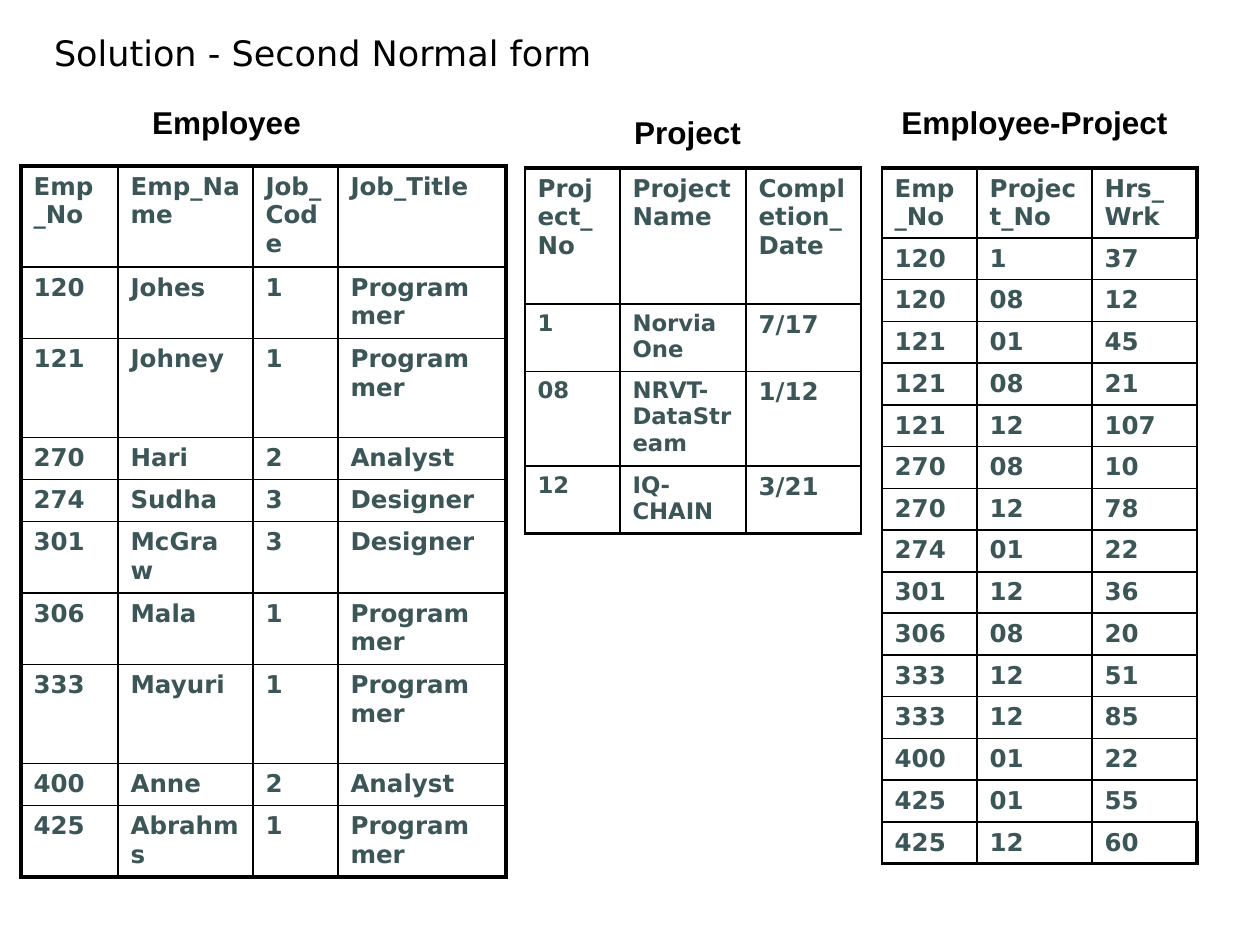
from lxml import etree
from pptx import Presentation
from pptx.dml.color import RGBColor
from pptx.enum.text import MSO_ANCHOR, MSO_AUTO_SIZE, PP_ALIGN
from pptx.oxml.ns import qn
from pptx.util import Emu, Pt

MIDDLE, BOTTOM = MSO_ANCHOR.MIDDLE, MSO_ANCHOR.BOTTOM
LEFT, CENTER = PP_ALIGN.LEFT, PP_ALIGN.CENTER
NO_FIT = MSO_AUTO_SIZE.NONE
TITLE_ONLY = 5
THIN, THICK = 1, 2.25
PX_PER_INCH = 126
COLORS = {"black": "000000", "cell": "3C5658"}

TITLE = "Solution - Second Normal form"
TITLE_FONT = {"name": "DejaVu Sans", "size": Pt(20), "bold": False}
HEADING_FONT = {"name": "Arial", "size": Pt(18), "bold": True}
CELL_FONT = {"name": "DejaVu Sans", "size": Pt(14), "bold": True}
SMALL_CELL_FONT = {**CELL_FONT, "size": Pt(13)}
HEADING_SIZE = (347, 53)

EMPLOYEES = [
    ("Emp_No", "Emp_Name", "Job_Code", "Job_Title"),
    ("120", "Johes", "1", "Programmer"),
    ("121", "Johney", "1", "Programmer"),
    ("270", "Hari", "2", "Analyst"),
    ("274", "Sudha", "3", "Designer"),
    ("301", "McGraw", "3", "Designer"),
    ("306", "Mala", "1", "Programmer"),
    ("333", "Mayuri", "1", "Programmer"),
    ("400", "Anne", "2", "Analyst"),
    ("425", "Abrahms", "1", "Programmer"),
]
PROJECTS = [
    ("Project_No", "Project Name", "Completion_Date"),
    ("1", "Norvia One", "7/17"),
    ("08", "NRVT-DataStream", "1/12"),
    ("12", "IQ-CHAIN", "3/21"),
]
HOURS = [
    ("Emp_No", "Project_No", "Hrs_Wrk"),
    ("120", "1", "37"), ("120", "08", "12"),
    ("121", "01", "45"), ("121", "08", "21"), ("121", "12", "107"),
    ("270", "08", "10"), ("270", "12", "78"),
    ("274", "01", "22"), ("301", "12", "36"), ("306", "08", "20"),
    ("333", "12", "51"), ("333", "12", "85"),
    ("400", "01", "22"),
    ("425", "01", "55"), ("425", "12", "60"),
]

# thick_sides: "all" rows, only the "ends" (first and last row), or none.
TABLES = [
    {"heading": "Employee-Project", "heading_at": (861, 95), "at": (882, 168),
     "data": HOURS, "columns": [95, 115, 105],
     "rows": [70] + [41 + index % 2 for index in range(len(HOURS) - 1)],
     "thick_sides": {"R": "ends"}, "small_columns": ()},
    {"heading": "Employee", "heading_at": (53, 95), "at": (21, 166),
     "data": EMPLOYEES, "columns": [97, 135, 85, 168],
     "rows": [99, 70, 99, 42, 41, 70, 70, 99, 42, 70],
     "thick_sides": {"L": "all", "R": "all"}, "small_columns": ()},
    {"heading": "Project", "heading_at": (514, 105), "at": (525, 168),
     "data": PROJECTS, "columns": [95, 126, 115],
     "rows": [136, 65, 92, 65],
     "thick_sides": {}, "small_columns": (0, 1)},
]


def px(value):
    return Emu(round(value * 914400 / PX_PER_INCH))


def write(frame, text, font, color, align=LEFT):
    para = frame.paragraphs[0]
    para.alignment = align
    span = para.add_run()
    span.text = text
    for name, value in font.items():
        setattr(span.font, name, value)
    span.font.color.rgb = RGBColor.from_string(COLORS[color])


def draw_borders(cell, widths):
    properties = cell._tc.get_or_add_tcPr()
    for side in "LRTB":
        line = etree.SubElement(properties, qn(f"a:ln{side}"),
                                w=str(Pt(widths[side])))
        fill = etree.SubElement(line, qn("a:solidFill"))
        etree.SubElement(fill, qn("a:srgbClr"), val=COLORS["black"])


def border_widths(row, column, last_row, last_column, thick_sides):
    def side_width(side, on_edge):
        rule = thick_sides.get(side)
        thick = rule == "all" or rule == "ends" and row in (0, last_row)
        return THICK if on_edge and thick else THIN

    return {"L": side_width("L", column == 0),
            "R": side_width("R", column == last_column),
            "T": THICK if row == 0 else THIN,
            "B": THICK if row == last_row else THIN}


def add_title(page):
    title = page.shapes.title
    title.left, title.top, title.width, title.height = map(px, (4, 21, 921, 59))
    frame = title.text_frame
    settings = {"margin_left": px(50), "vertical_anchor": BOTTOM,
                "word_wrap": True, "auto_size": NO_FIT}
    for name, value in settings.items():
        setattr(frame, name, value)
    write(frame, TITLE, TITLE_FONT, "black")


def add_heading(page, text, at):
    box = page.shapes.add_textbox(*map(px, at + HEADING_SIZE))
    box.text_frame.word_wrap = False
    box.text_frame.vertical_anchor = MIDDLE
    write(box.text_frame, text, HEADING_FONT, "black", CENTER)


def add_data_table(page, item):
    data, columns, rows = item["data"], item["columns"], item["rows"]
    size = (sum(columns), sum(rows))
    table = page.shapes.add_table(len(rows), len(columns),
                                  *map(px, item["at"] + size)).table
    table.first_row = table.horz_banding = False
    for column, width in zip(table.columns, columns):
        column.width = px(width)
    for row, height in zip(table.rows, rows):
        row.height = px(height)
    for r, values in enumerate(data):
        for c, text in enumerate(values):
            cell = table.cell(r, c)
            draw_borders(cell, border_widths(r, c, len(rows) - 1,
                                             len(columns) - 1,
                                             item["thick_sides"]))
            cell.fill.background()
            small = r > 0 and c in item["small_columns"]
            write(cell.text_frame, text,
                  SMALL_CELL_FONT if small else CELL_FONT, "cell")


def main():
    deck = Presentation()
    deck.slide_width, deck.slide_height = px(1260), px(945)
    page = deck.slides.add_slide(deck.slide_layouts[TITLE_ONLY])
    add_title(page)
    for item in TABLES:
        add_data_table(page, item)
        add_heading(page, item["heading"], item["heading_at"])
    deck.save("out.pptx")


if __name__ == "__main__":
    main()
